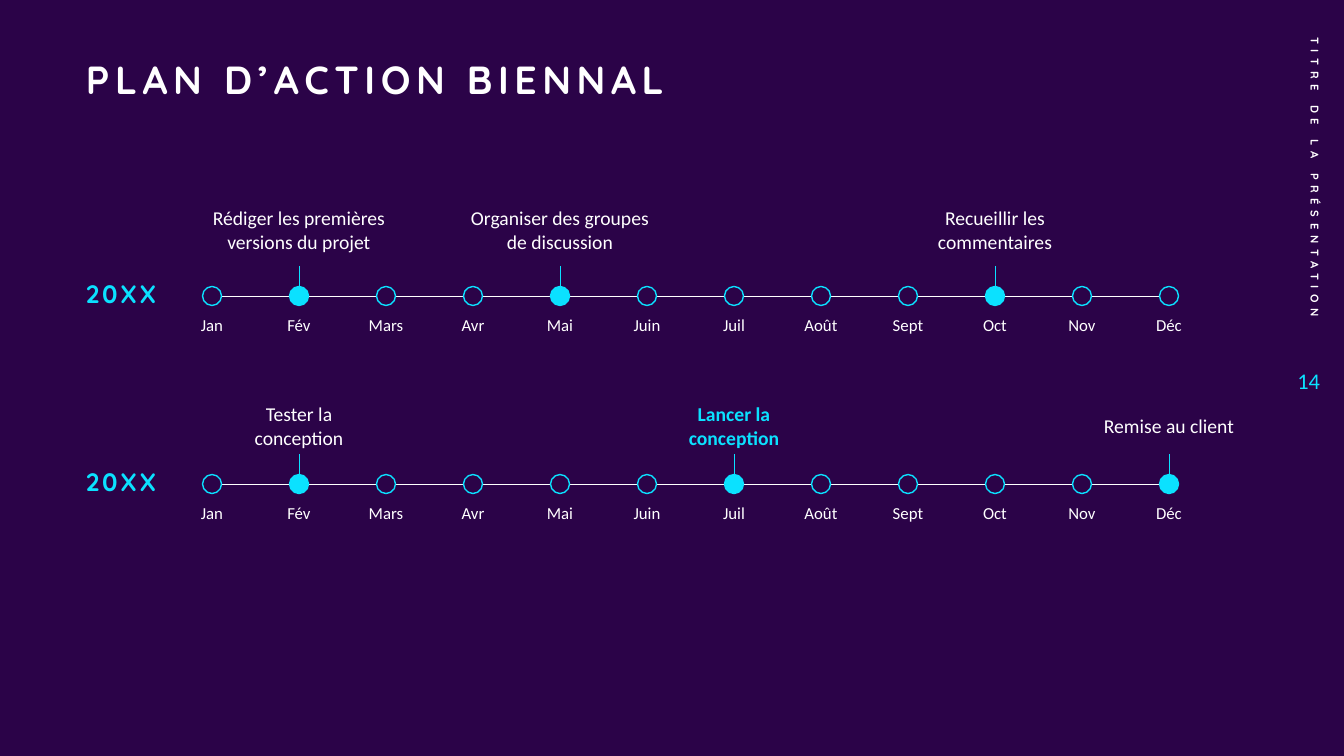
from lxml import etree
from pptx import Presentation
from pptx.dml.color import RGBColor
from pptx.enum.shapes import MSO_CONNECTOR, MSO_SHAPE
from pptx.enum.text import MSO_ANCHOR, PP_ALIGN
from pptx.oxml.ns import qn
from pptx.util import Pt

PX = 914400 / 100.8
STRAIGHT, CIRCLE = MSO_CONNECTOR.STRAIGHT, MSO_SHAPE.OVAL
TOP, MIDDLE = MSO_ANCHOR.TOP, MSO_ANCHOR.MIDDLE
LEFT, CENTER, RIGHT = PP_ALIGN.LEFT, PP_ALIGN.CENTER, PP_ALIGN.RIGHT
HEADING, BODY = "Quicksand", "Calibri"
COLORS = {"night": "2B0348", "cyan": "0BE1FF", "white": "FFFFFF"}
MONTHS = ["Jan", "Fév", "Mars", "Avr", "Mai", "Juin",
          "Juil", "Août", "Sept", "Oct", "Nov", "Déc"]
MONTH_STEP, MARKER = 87, 19
FIRST_MONTH, YEAR_WIDTH = 157, 132
CALLOUT_HEIGHT = 65
TIMELINES = [
    ((55, 197, 1180, 208), 99, [
        ("Fév", "Rédiger les premières versions du projet", 222, False),
        ("Mai", "Organiser des groupes de discussion", 222, False),
        ("Oct", "Recueillir les commentaires", 158, False)]),
    ((55, 393, 1193, 200), 91, [
        ("Fév", "Tester la conception", 158, False),
        ("Juil", "Lancer la conception", 158, True),
        ("Déc", "Remise au client", 158, False)]),
]


def px(length):
    """Turn pixels into EMU."""
    return round(length * PX)


def color(name):
    """Look up a colour of the slide."""
    return RGBColor.from_string(COLORS[name])


def add_text(slide, box, text, size, font=BODY, ink="white", bold=False,
             align=CENTER, anchor=MIDDLE, leading=1.0, tracking=0):
    """Place one formatted paragraph in the given box."""
    holder = slide.shapes.add_textbox(*map(px, box))
    frame = holder.text_frame
    frame.word_wrap = True
    frame.vertical_anchor = anchor
    frame.text = text
    paragraph = frame.paragraphs[0]
    paragraph.alignment = align
    paragraph.line_spacing = leading
    run = paragraph.runs[0]
    run.font.name, run.font.size, run.font.bold = font, Pt(size), bold
    run.font.color.rgb = color(ink)
    if tracking:
        run.font._element.set("spc", str(tracking * 100))
    return holder


def add_rule(slide, x1, y1, x2, y2, ink):
    """Draw a thin straight line."""
    rule = slide.shapes.add_connector(STRAIGHT, *map(px, (x1, y1, x2, y2)))
    rule.line.color.rgb = color(ink)
    rule.line.width = Pt(0.5)
    etree.SubElement(rule._element.spPr, qn("a:effectLst"))


def add_marker(slide, x, y, filled):
    """Draw a month marker centred on a point of the axis."""
    corner = (x - MARKER / 2, y - MARKER / 2)
    marker = slide.shapes.add_shape(CIRCLE, *map(px, (*corner, MARKER, MARKER)))
    marker.shadow.inherit = False
    marker.line.color.rgb = color("cyan")
    marker.line.width = Pt(1)
    if filled:
        marker.fill.solid()
        marker.fill.fore_color.rgb = color("cyan")
    else:
        marker.fill.background()


def add_timeline(slide, box, axis_offset, milestones):
    """Build one year: label, axis, months and milestone callouts."""
    left, top, _, _ = box
    axis = top + axis_offset
    centers = {month: left + FIRST_MONTH + i * MONTH_STEP
               for i, month in enumerate(MONTHS)}
    reached = {milestone[0] for milestone in milestones}

    add_text(slide, (left, axis - 28, YEAR_WIDTH, 55), "20XX", 18, HEADING,
             "cyan", True, leading=0.9, tracking=2)
    for month, x in centers.items():
        if month != MONTHS[-1]:
            add_rule(slide, x + 10, axis, x + MONTH_STEP - 10, axis, "white")
        add_marker(slide, x, axis, month in reached)
        add_text(slide, (x - 40, axis + 9, 80, 100), month, 12,
                 anchor=TOP, leading=1.25)
    for month, task, width, key in milestones:
        x = centers[month]
        add_rule(slide, x, axis - 30, x, axis + 7, "cyan")
        add_text(slide, (x - width / 2, top, width, CALLOUT_HEIGHT), task, 14,
                 ink="cyan" if key else "white", bold=key)


def add_title(slide, box):
    """Place the slide title."""
    add_text(slide, box, "PLAN D’ACTION BIENNAL", 28, HEADING, bold=True,
             align=LEFT, anchor=TOP, leading=0.9, tracking=4)


def add_side_strip(slide, box):
    """Place the vertical presentation title and the page number."""
    left, top, width, height = box
    length, thickness = 325, 40
    running_title = add_text(
        slide,
        (left + 45 - length / 2, top + (length - thickness) / 2, length, thickness),
        "TITRE DE LA PRÉSENTATION", 8, HEADING, bold=True, align=RIGHT, tracking=4)
    running_title.rotation = 90
    add_text(slide, (left, top + height - 64, width, 64), "14", 16,
             ink="cyan", align=RIGHT)


def main():
    """Build and save the slide."""
    deck = Presentation()
    deck.slide_width, deck.slide_height = px(1344), px(756)
    slide = deck.slides.add_slide(deck.slide_layouts[6])
    slide.background.fill.solid()
    slide.background.fill.fore_color.rgb = color("night")
    add_title(slide, (76, 56, 1159, 81))
    for box, axis_offset, milestones in TIMELINES:
        add_timeline(slide, box, axis_offset, milestones)
    add_side_strip(slide, (1270, 2, 60, 411))
    deck.save("out.pptx")


if __name__ == "__main__":
    main()
